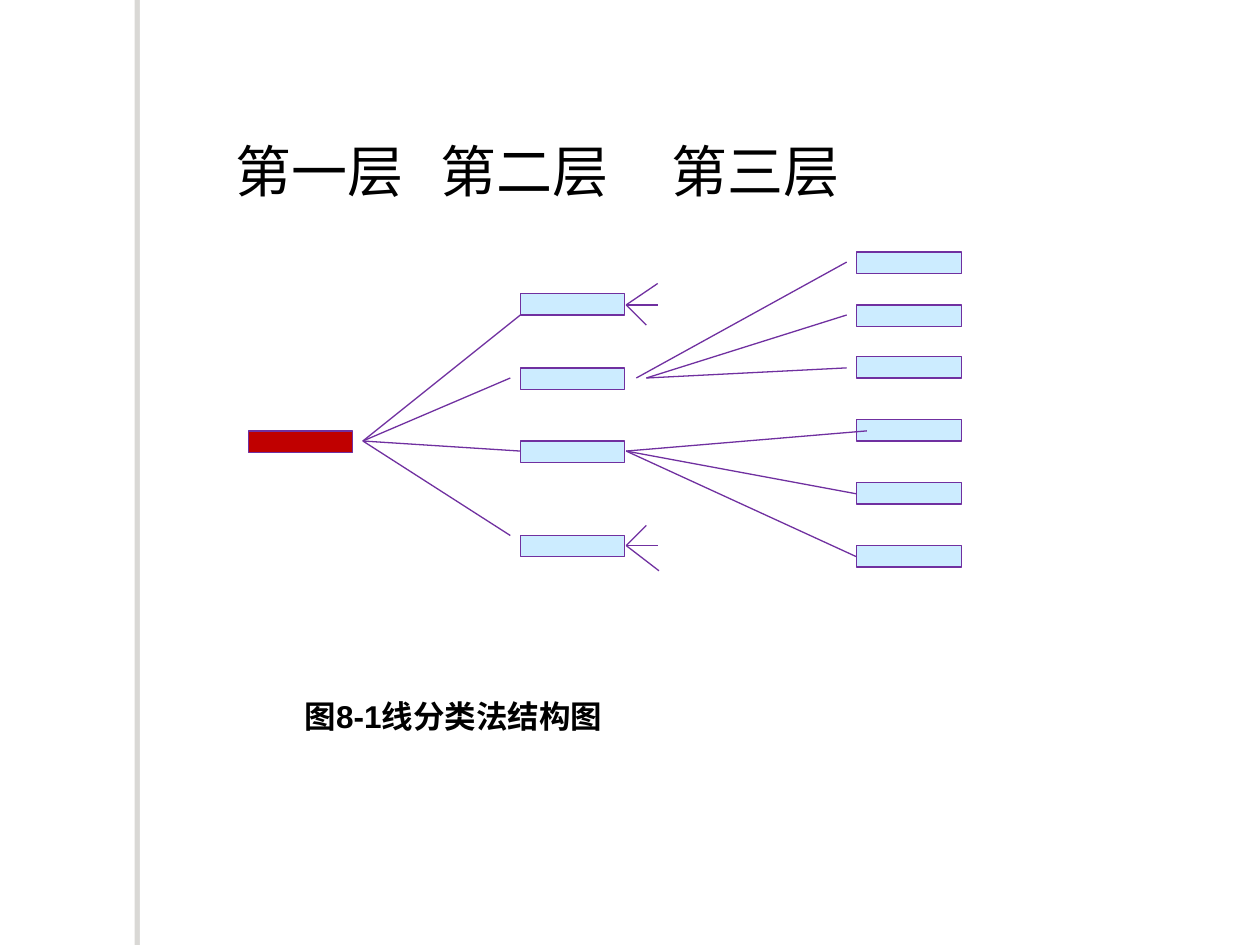
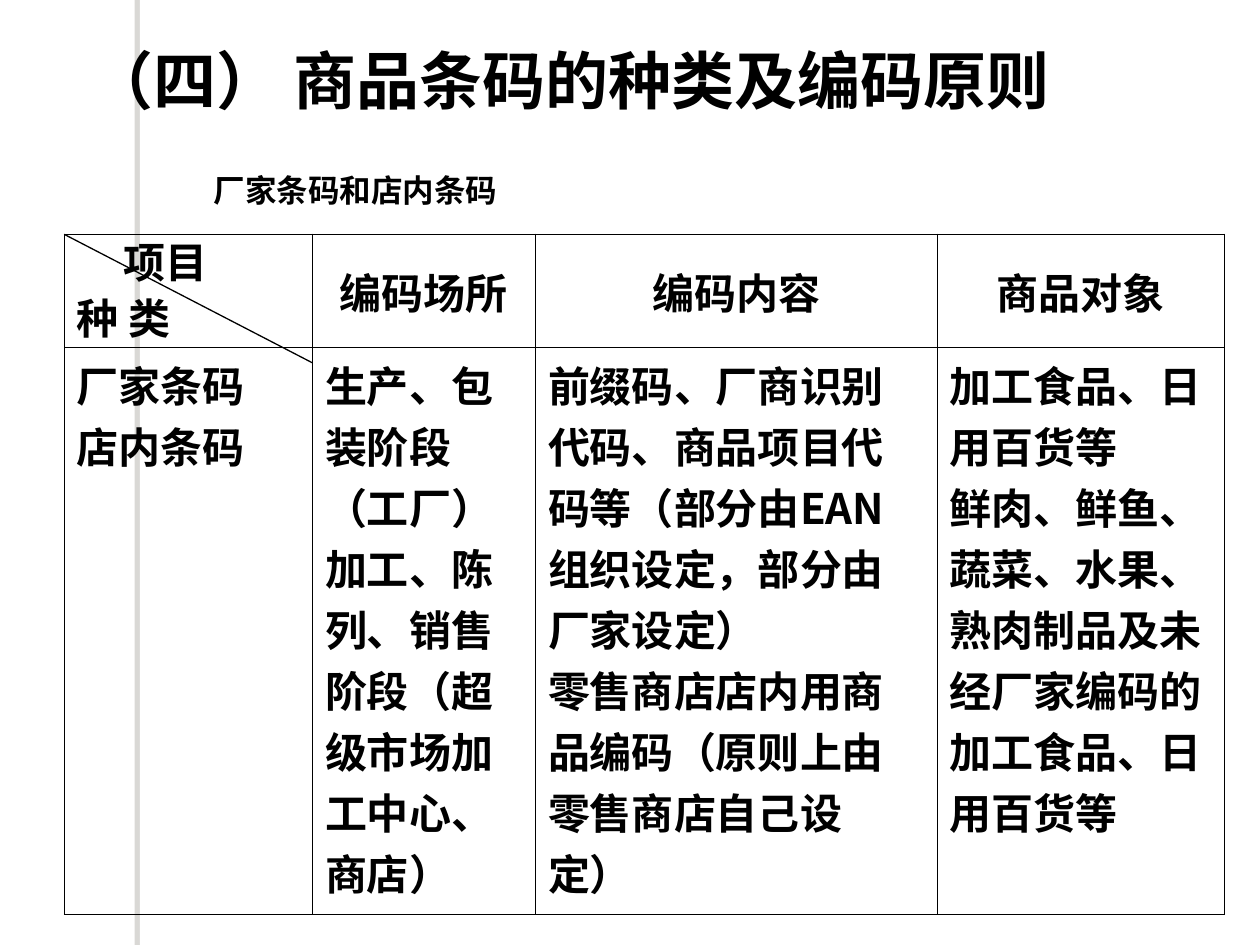
from lxml.etree import SubElement
from pptx import Presentation
from pptx.dml.color import RGBColor
from pptx.enum.shapes import MSO_CONNECTOR, MSO_SHAPE
from pptx.enum.text import MSO_ANCHOR, PP_ALIGN
from pptx.oxml.ns import qn
from pptx.util import Inches, Pt

BLACK, WHITE, SHADE = "000000", "FFFFFF", "706B5F"
RED, PALE, PURPLE = "C00000", "CCECFF", "7030A0"
SANS, CJK = "Arial", "Noto Sans CJK SC"


def hue(code):
    return RGBColor.from_string(code)


def write(frame, text, size=18, bold=True, face=SANS, align=PP_ALIGN.LEFT,
          tabs=(), lead=None, dent=0):
    """Fill a frame, one paragraph a line; dent indents the first one."""
    frame.word_wrap = True
    for i, line in enumerate(text.split("\n")):
        para = frame.paragraphs[0] if i == 0 else frame.add_paragraph()
        props = para._p.get_or_add_pPr()
        if i == 0 and dent:
            props.set("marL", str(Inches(dent)))
        if tabs:
            stops = SubElement(props, qn("a:tabLst"))
            for stop in tabs:
                SubElement(stops, qn("a:tab"), pos=str(Inches(stop)), algn="l")
        para.alignment = align
        if lead:
            para.line_spacing = Pt(lead)
        for j, part in enumerate(line.split("\t")):
            run = para.add_run()
            run.text = "\t" * (j > 0) + part
            font = run.font
            font.size, font.bold, font.name = Pt(size), bold, face
            font.color.rgb = hue(BLACK)
            SubElement(run._r.get_or_add_rPr(), qn("a:ea"), typeface=CJK)


deck = Presentation()
deck.slide_width, deck.slide_height = Inches(10), Inches(7.5)
tree, codes = [deck.slides.add_slide(deck.slide_layouts[6]) for _ in range(2)]

# Shared vertical band with its soft edge on the left
for slide in (tree, codes):
    band = slide.shapes.add_shape(
        MSO_SHAPE.RECTANGLE, Inches(1.11), 0, Inches(0.08), Inches(7.5))
    band.fill.solid()
    band.fill.fore_color.rgb = hue(WHITE)
    band.line.fill.background()
    effect = SubElement(band._element.spPr, qn("a:effectLst"))
    cast = SubElement(effect, qn("a:outerShdw"), dist=str(Pt(3)),
                      dir="10800000", algn="ctr", rotWithShape="0")
    tint = SubElement(cast, qn("a:srgbClr"), val=SHADE)
    SubElement(tint, qn("a:alpha"), val="25000")

# Headings and captions
labels = [
    (tree, (1.77, 0.28, 6.25, 2.14), "第一层\t第二层\t第三层",
     dict(size=32, bold=False, face=CJK, tabs=(1.63, 3.46))),
    (tree, (2.32, 5.48, 5.67, 0.4), "图8-1线分类法结构图", {}),
    (codes, (0.62, 0.28, 8.63, 0.7), "（四） 商品条码的种类及编码原则",
     dict(size=36)),
    (codes, (1.6, 1.31, 7.5, 0.4), "厂家条码和店内条码", {}),
]
for slide, place, text, style in labels:
    box = slide.shapes.add_textbox(*map(Inches, place))
    write(box.text_frame, text, **style)
    box.text_frame.vertical_anchor = MSO_ANCHOR.MIDDLE

# Nodes of the three levels
levels = [
    (1.97, RED, (3.42,)),
    (4.13, PALE, (2.33, 2.92, 3.5, 4.25)),
    (6.8, PALE, (2, 2.42, 2.83, 3.33, 3.83, 4.33)),
]
for left, fill, tops in levels:
    for top in tops:
        node = tree.shapes.add_shape(
            MSO_SHAPE.RECTANGLE, *map(Inches, (left, top, 0.83, 0.17)))
        node.shadow.inherit = False
        node.fill.solid()
        node.fill.fore_color.rgb = hue(fill)
        node.line.color.rgb = hue(PURPLE)
        node.line.width = Pt(0.75)

# Lines that fan out from a start, and the diagonal of the table head
fans = [
    (tree, PURPLE, (2.88, 3.5),
     [(4.13, 2.5), (4.05, 3), (4.13, 3.58), (4.05, 4.25)]),
    (tree, PURPLE, (5.05, 3), [(6.72, 2.08)]),
    (tree, PURPLE, (5.13, 3), [(6.72, 2.5), (6.72, 2.92)]),
    (tree, PURPLE, (4.97, 3.58), [(6.88, 3.42), (6.8, 3.92), (6.8, 4.42)]),
    (tree, PURPLE, (4.97, 2.42), [(5.22, 2.25), (5.22, 2.42), (5.13, 2.58)]),
    (tree, PURPLE, (4.97, 4.33), [(5.22, 4.33), (5.13, 4.17), (5.23, 4.53)]),
    (codes, BLACK, (0.51, 1.86), [(2.48, 2.88)]),
]
for slide, color, start, ends in fans:
    for end in ends:
        line = slide.shapes.add_connector(
            MSO_CONNECTOR.STRAIGHT, *map(Inches, start + end))
        line.line.color.rgb = hue(color)
        line.line.width = Pt(0.75)
        SubElement(line._element.spPr, qn("a:effectLst"))

# Table of code kinds
rows = [
    ["项目\n种 类", "编码场所", "编码内容", "商品对象"],
    ["厂家条码\n店内条码",
     "生产、包装阶段\n（工厂）\n加工、陈列、销售阶段（超级市场加工中心、商店）",
     "前缀码、厂商识别代码、商品项目代码等（部分由EAN组织设定，部分由厂家设定）\n"
     "零售商店店内用商品编码（原则上由零售商店自己设定）",
     "加工食品、日用百货等\n"
     "鲜肉、鲜鱼、蔬菜、水果、熟肉制品及未经厂家编码的加工食品、日用百货等"],
]
grid = codes.shapes.add_table(
    2, 4, *map(Inches, (0.51, 1.86, 9.21, 5.4))).table
grid.first_row = grid.horz_banding = False
for col, width in zip(grid.columns, (1.97, 1.77, 3.19, 2.28)):
    col.width = Inches(width)
for row, height in zip(grid.rows, (0.9, 4.5)):
    row.height = Inches(height)
for r, row in enumerate(rows):
    for c, text in enumerate(row):
        cell = grid.cell(r, c)
        style = {}
        if r == 0:
            cell.vertical_anchor = MSO_ANCHOR.MIDDLE
            style = dict(align=PP_ALIGN.CENTER)
            if c == 0:
                cell.margin_top = cell.margin_bottom = 0
                style = dict(lead=32, dent=0.37)
        write(cell.text_frame, text, size=24, face=CJK, **style)
        edges = {"L": 0.45, "R": 0.45, "T": 0.45 if r else 0.96,
                 "B": 0.96 if r else 0.45}
        props = cell._tc.get_or_add_tcPr()
        for side, width in edges.items():
            edge = SubElement(props, qn("a:ln" + side), w=str(Pt(width)))
            paint = SubElement(edge, qn("a:solidFill"))
            SubElement(paint, qn("a:srgbClr"), val=BLACK)
        cell.fill.background()

deck.save("out.pptx")
